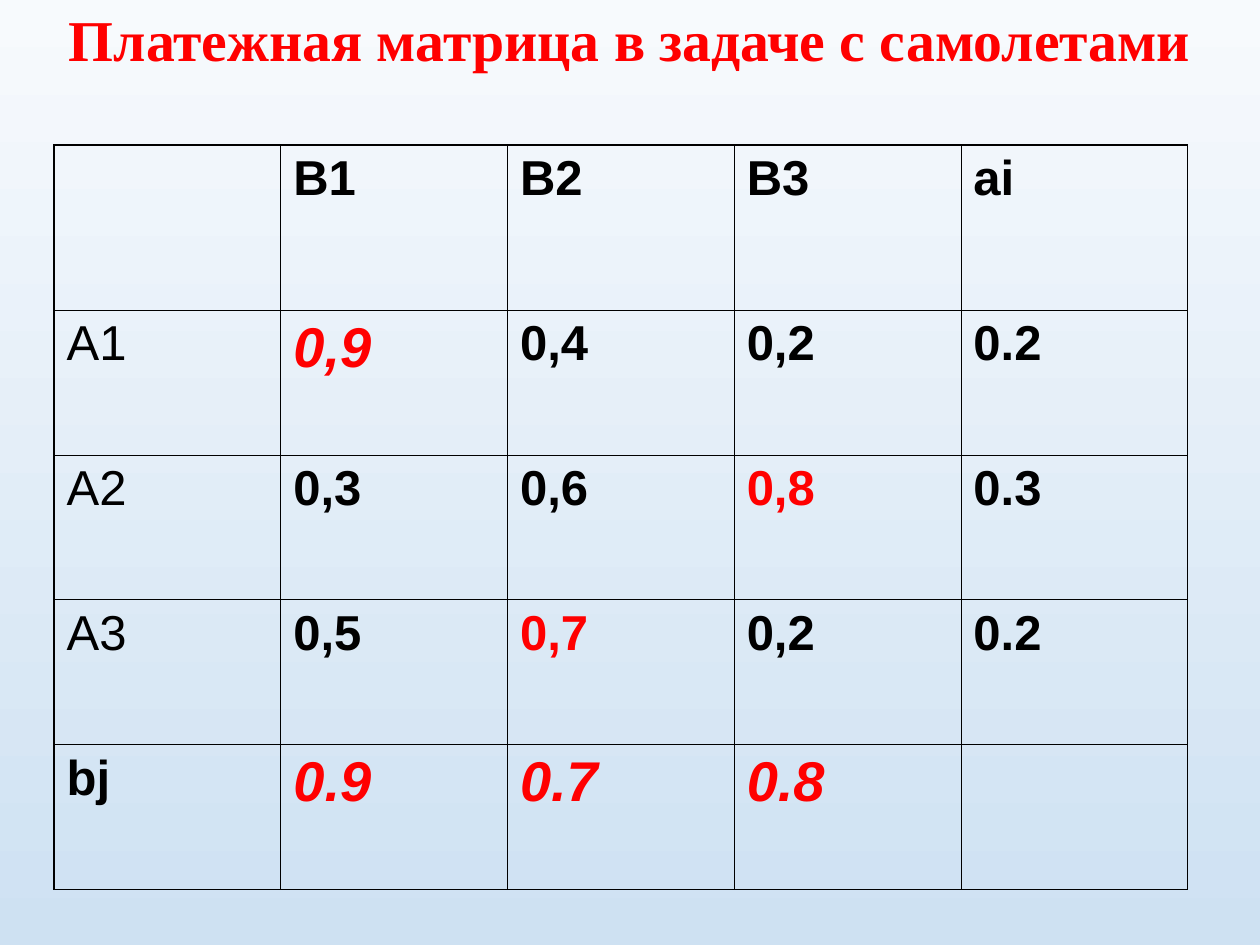
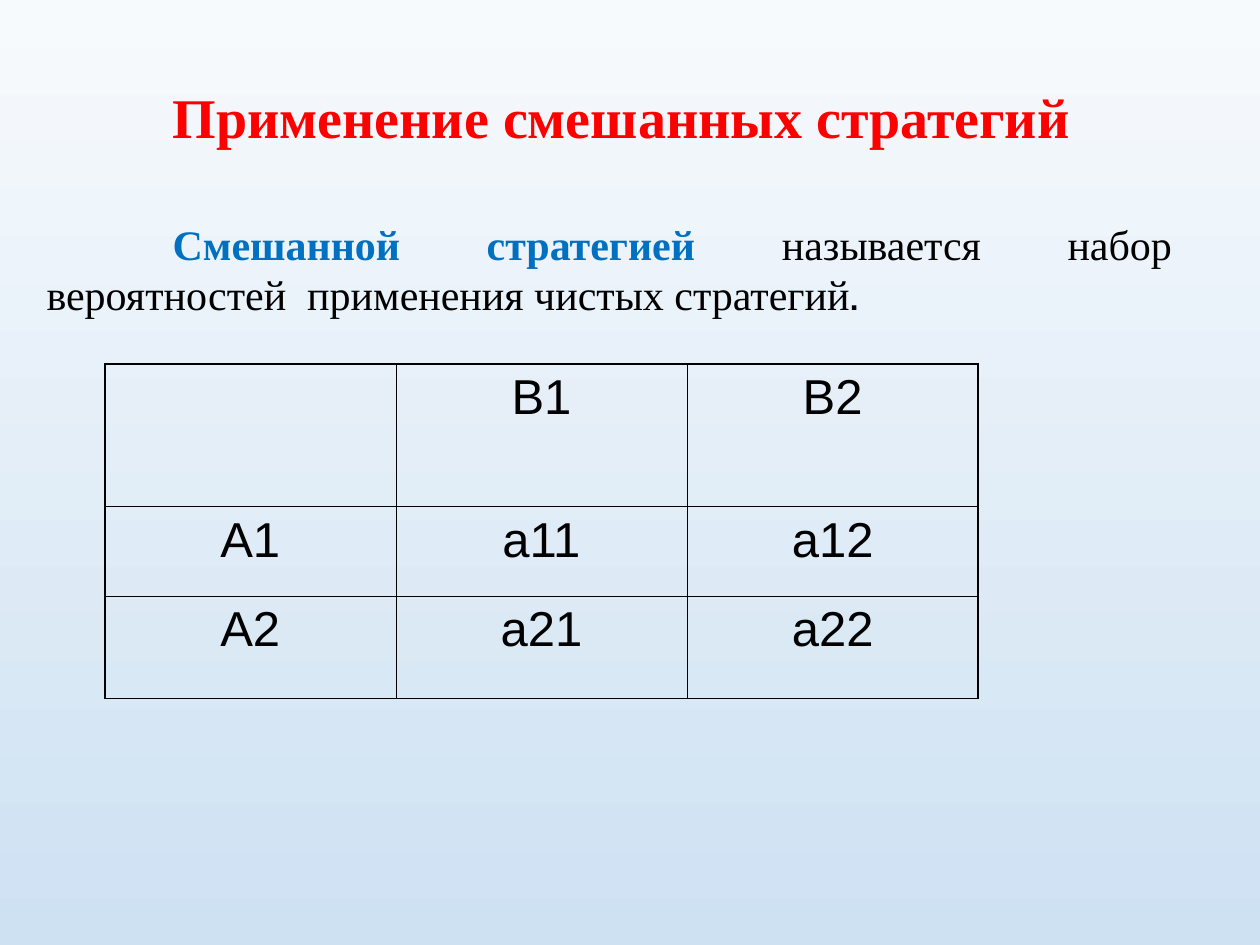
from lxml import etree
from pptx import Presentation
from pptx.dml.color import RGBColor
from pptx.enum.text import MSO_ANCHOR, PP_ALIGN
from pptx.oxml.ns import qn
from pptx.util import Cm, Pt

LEFT, CENTER, JUSTIFY = PP_ALIGN.LEFT, PP_ALIGN.CENTER, PP_ALIGN.JUSTIFY
MIDDLE = MSO_ANCHOR.MIDDLE

SKY_TOP = RGBColor(0xF7, 0xFA, 0xFD)
SKY_BOTTOM = RGBColor(0xCE, 0xE1, 0xF2)
RED = RGBColor(0xFF, 0x00, 0x00)
BLUE = RGBColor(0x00, 0x70, 0xC0)
BLACK = RGBColor(0x00, 0x00, 0x00)

OUTER_LINE, INNER_LINE = Pt(1.08), Pt(0.45)

SERIF = {"name": "Times New Roman", "size": Pt(24), "bold": False}
TERM = {**SERIF, "bold": True}
PLAIN = {"name": "Arial", "size": Pt(28), "bold": False}
BOLD = {**PLAIN, "bold": True}
MAXIMUM = {**BOLD, "size": Pt(32), "italic": True}
FULL_STOP = {**BOLD, "size": Pt(18)}


def add_run(paragraph, text, style, color):
    run = paragraph.add_run()
    run.text = text
    for attribute, value in style.items():
        setattr(run.font, attribute, value)
    run.font.color.rgb = color


def add_matrix(slide, left, top, col_width, row_heights, rows, alignment):
    """Add a payoff matrix; each cell is (text, style, colour)."""
    last_row, last_col = len(rows) - 1, len(rows[0]) - 1
    matrix = slide.shapes.add_table(
        len(rows), len(rows[0]), left, top, col_width * len(rows[0]), sum(row_heights)
    ).table
    matrix.first_row = matrix.horz_banding = False
    for column in matrix.columns:
        column.width = col_width
    for r, (height, row) in enumerate(zip(row_heights, rows)):
        matrix.rows[r].height = height
        for c, (text, style, color) in enumerate(row):
            cell = matrix.cell(r, c)
            cell.fill.background()
            if text:
                paragraph = cell.text_frame.paragraphs[0]
                paragraph.alignment = alignment
                add_run(paragraph, text, style, color)
            on_edge = {"lnL": c == 0, "lnR": c == last_col, "lnT": r == 0, "lnB": r == last_row}
            properties = cell._tc.get_or_add_tcPr()
            for position, (side, outer) in enumerate(on_edge.items()):
                line = etree.Element(qn(f"a:{side}"), w=str(OUTER_LINE if outer else INNER_LINE))
                solid = etree.SubElement(line, qn("a:solidFill"))
                etree.SubElement(solid, qn("a:srgbClr"), val=str(BLACK))
                properties.insert(position, line)


prs = Presentation()
prs.slide_width, prs.slide_height = Cm(25.4), Cm(19.05)
blank = prs.slide_layouts[6]

# Shared background and title
titles = [
    ("Платежная матрица в задаче с самолетами", 33, (0, 0, 25.4, 1.73)),
    ("Применение смешанных стратегий", 32, (1.1, 0.84, 22.86, 3.18)),
]
for title, size, place in titles:
    slide = prs.slides.add_slide(blank)
    sky = slide.background.fill
    sky.gradient()
    sky.gradient_angle = 270
    for stop, color, position in zip(sky.gradient_stops, (SKY_TOP, SKY_BOTTOM), (0, 1)):
        stop.color.rgb = color
        stop.position = position
    heading = slide.shapes.add_textbox(*map(Cm, place)).text_frame
    heading.word_wrap = True
    heading.vertical_anchor = MIDDLE
    heading_line = heading.paragraphs[0]
    heading_line.alignment = CENTER
    heading_line.line_spacing = 0.9
    add_run(heading_line, title, {**TERM, "size": Pt(size)}, RED)

aircraft_slide, mixed_slide = prs.slides

# Slide 1: payoff matrix with row minima and column maxima
aircraft_values = [
    ["", "В1", "В2", "В3", "ai"],
    ["А1", "0,9", "0,4", "0,2", "0.2"],
    ["А2", "0,3", "0,6", "0,8", "0.3"],
    ["А3", "0,5", "0,7", "0,2", "0.2"],
    ["bj", "0.9", "0.7", "0.8", ""],
]
highlights = {
    "0,9": (MAXIMUM, RED), "0,8": (BOLD, RED), "0,7": (BOLD, RED),
    "0.9": (MAXIMUM, RED), "0.7": (MAXIMUM, RED), "0.8": (MAXIMUM, RED),
    "А1": (PLAIN, BLACK), "А2": (PLAIN, BLACK), "А3": (PLAIN, BLACK),
}
aircraft_rows = [
    [(text, *highlights.get(text, (BOLD, BLACK))) for text in row] for row in aircraft_values
]
add_matrix(aircraft_slide, Cm(1.09), Cm(2.92), Cm(4.57),
           [Cm(3.33)] + [Cm(2.92)] * 4, aircraft_rows, LEFT)

# Slide 2: general 2 × 2 matrix and the definition
mixed_values = [["", "В1", "В2"], ["А1", "а11", "а12"], ["А2", "а21", "а22"]]
mixed_rows = [[(text, PLAIN, BLACK) for text in row] for row in mixed_values]
add_matrix(mixed_slide, Cm(2.11), Cm(7.34), Cm(5.87),
           [Cm(2.87), Cm(1.81), Cm(2.06)], mixed_rows, CENTER)

definition = mixed_slide.shapes.add_textbox(Cm(0.69), Cm(4.27), Cm(23.19), Cm(2.29)).text_frame
definition.word_wrap = True
definition.vertical_anchor = MIDDLE
sentence = definition.paragraphs[0]
sentence.alignment = JUSTIFY
sentence._p.get_or_add_pPr().set("indent", str(Cm(2.54)))
for text, style, color in [
    ("Смешанной стратегией ", TERM, BLUE),
    ("называется набор вероятностей  применения чистых стратегий", SERIF, BLACK),
    (".", FULL_STOP, BLACK),
]:
    add_run(sentence, text, style, color)

prs.save("out.pptx")
